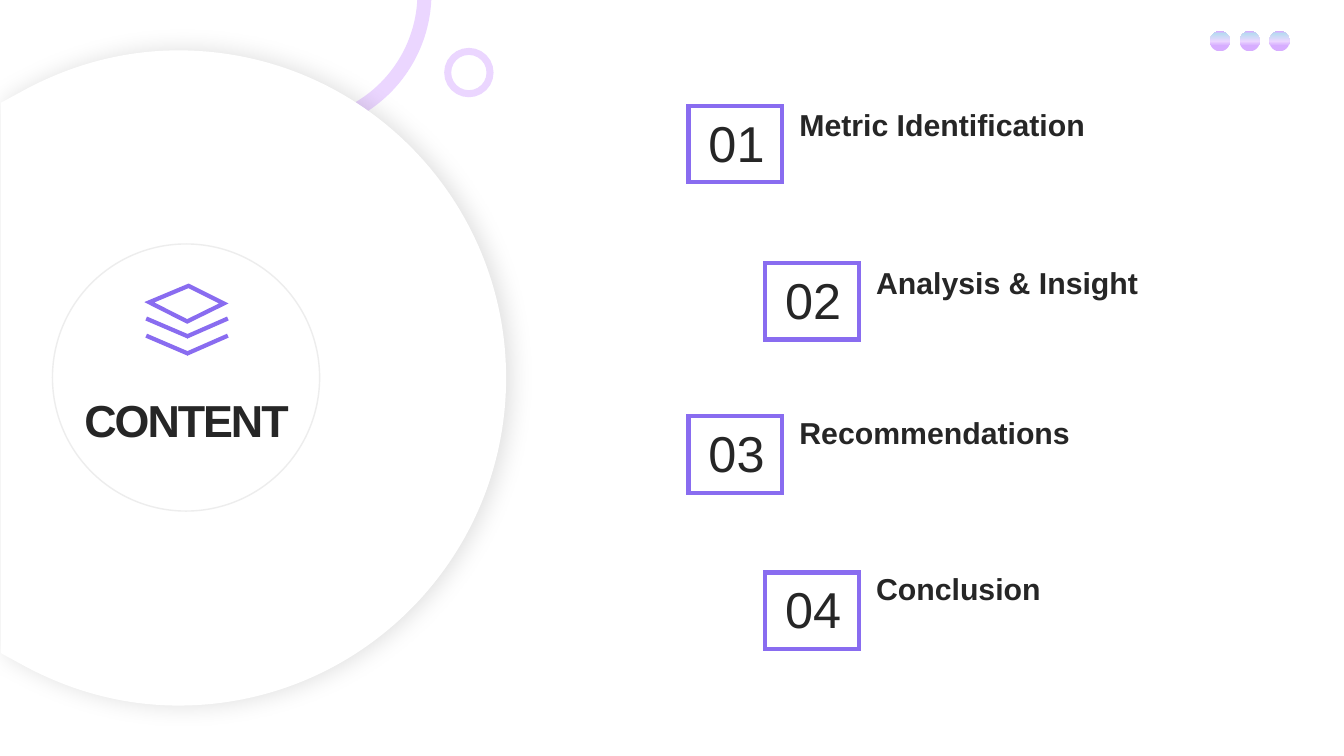
from dataclasses import dataclass

from lxml import etree
from pptx import Presentation
from pptx.dml.color import RGBColor
from pptx.enum.shapes import MSO_CONNECTOR, MSO_SHAPE
from pptx.enum.text import MSO_ANCHOR, PP_ALIGN
from pptx.oxml.ns import qn
from pptx.util import Inches, Pt

ARC, OVAL, RECTANGLE = MSO_SHAPE.ARC, MSO_SHAPE.OVAL, MSO_SHAPE.RECTANGLE
STRAIGHT = MSO_CONNECTOR.STRAIGHT
TOP, MIDDLE, BOTTOM = MSO_ANCHOR.TOP, MSO_ANCHOR.MIDDLE, MSO_ANCHOR.BOTTOM
LEFT, CENTER = PP_ALIGN.LEFT, PP_ALIGN.CENTER


@dataclass(frozen=True)
class Theme:
    font: str = "Arial"
    ink: str = "262626"
    accent: str = "896CF0"
    ring: str = "EBD6FF"
    hairline: str = "EDEDED"
    paper: str = "FFFFFF"
    shadow: str = "000000"
    dot_stops: tuple = ((28, "D7ADFF"), (50, "EBD6FF"), (88, "B9DBF1"), (100, "D7ADFF"))
    heading_size: float = 32
    number_size: float = 36
    title_size: float = 21.6


THEME = Theme()

# Left and top of the number box, top of the title, number, title
AGENDA = (
    (6.83, 1.05, 1.01, "01", "Metric Identification"),
    (7.59, 2.61, 2.58, "02", "Analysis & Insight"),
    (6.83, 4.13, 4.06, "03", "Recommendations"),
    (7.59, 5.68, 5.61, "04", "Conclusion"),
)

# Upper half of the disc: two corners of the cut, then two curves
DISC_HEIGHT = 6.5
DISC_UPPER = ((0, 0.52), (0.22, 0.4), (0.68, 0.15), (1.2, 0), (1.76, 0),
              (3.56, 0), (5.01, 1.46), (5.01, 3.25))


def rgb(color):
    return RGBColor.from_string(color)


def style(shape, fill=None, line=None, width=1):
    shape.shadow.inherit = False
    if fill:
        shape.fill.solid()
        shape.fill.fore_color.rgb = rgb(fill)
    else:
        shape.fill.background()
    if line:
        shape.line.color.rgb = rgb(line)
        shape.line.width = Pt(width)
        outline = shape._element.spPr.find(qn("a:ln"))
        etree.SubElement(outline, qn("a:miter"), lim="800000")
    else:
        shape.line.fill.background()


def add_preset(page, preset, box, **look):
    shape = page.shapes.add_shape(preset, *map(Inches, box))
    style(shape, **look)
    return shape


def add_outline(page, points, **look):
    """Closed polygon through points given in inches."""
    corners = [(Inches(x), Inches(y)) for x, y in points]
    builder = page.shapes.build_freeform(*corners[0])
    builder.add_line_segments(corners[1:], close=True)
    shape = builder.convert_to_shape()
    style(shape, **look)
    return shape


def bend_segments(shape, first):
    """Turn each three line segments from the given one on into a cubic curve."""
    outline = shape._element.spPr.find(".//" + qn("a:path"))
    segments = outline.findall(qn("a:lnTo"))[first:]
    for start in range(0, len(segments) - 2, 3):
        curve = etree.Element(qn("a:cubicBezTo"))
        segments[start].addprevious(curve)
        for segment in segments[start:start + 3]:
            curve.append(segment[0])
            outline.remove(segment)


def add_line(page, start, end, color, width):
    line = page.shapes.add_connector(STRAIGHT, *map(Inches, (*start, *end)))
    line.line.color.rgb = rgb(color)
    line.line.width = Pt(width)
    etree.SubElement(line._element.spPr, qn("a:effectLst"))


def add_text(page, box, text, size, bold=False, align=LEFT, anchor=TOP):
    frame = page.shapes.add_textbox(*map(Inches, box)).text_frame
    frame.word_wrap = True
    frame.vertical_anchor = anchor
    para = frame.paragraphs[0]
    para.alignment = align
    span = para.add_run()
    span.text = text
    span.font.name = THEME.font
    span.font.size = Pt(size)
    span.font.bold = bold
    span.font.color.rgb = rgb(THEME.ink)
    return frame


def add_color(parent, color):
    return etree.SubElement(parent, qn("a:srgbClr"), val=color)


def add_soft_shadow(shape, blur, distance, opacity):
    effects = shape._element.spPr.find(qn("a:effectLst"))
    shadow = etree.SubElement(
        effects, qn("a:outerShdw"), blurRad=str(Pt(blur)), dist=str(Pt(distance)),
        dir="0", algn="ctr", rotWithShape="0")
    color = add_color(shadow, THEME.shadow)
    etree.SubElement(color, qn("a:alpha"), val=str(opacity * 1000))


def fill_gradient(shape, stops):
    """Gradient running from the bottom to the top."""
    shape.fill.gradient()
    shape.fill.gradient_angle = 90
    stop_list = shape._element.spPr.find(".//" + qn("a:gsLst"))
    for old_stop in list(stop_list):
        stop_list.remove(old_stop)
    for position, color in stops:
        add_color(etree.SubElement(stop_list, qn("a:gs"), pos=str(position * 1000)), color)


def add_rings(page):
    add_preset(page, OVAL, (4.44, 0.51, 0.42, 0.42), line=THEME.ring, width=5)
    arc = add_preset(page, ARC, (1.56, -1.39, 2.65, 2.65), line=THEME.ring, width=10)
    arc.adjustments[0] = 163.22
    arc.adjustments[1] = 201.1
    arc.rotation = 90


def add_dots(page, left, top, size=0.2, reach=0.59, count=3):
    for index in range(count):
        dot = add_preset(page, OVAL, (left + index * reach / (count - 1), top, size, size))
        fill_gradient(dot, THEME.dot_stops)


def add_disc(page, left, top):
    """White disc with its left side cut off."""
    lower = [(x, DISC_HEIGHT - y) for x, y in reversed(DISC_UPPER[:-1])]
    rim = [lower[-1], *DISC_UPPER, *lower[:-1]]
    disc = add_outline(page, [(left + x, top + y) for x, y in rim], fill=THEME.paper)
    bend_segments(disc, first=2)
    add_soft_shadow(disc, blur=17, distance=3, opacity=12)


def add_layers_icon(page, left, top):
    icon = page.shapes.add_group_shape()
    corners = ((0.08, 0.35), (0.33, 0.01), (0.72, -0.02), (0.5, 0.32))
    diamond = add_outline(icon, [(left + x, top + y) for x, y in corners],
                          line=THEME.accent, width=3)
    diamond.rotation = 30.9
    for drop in (0.32, 0.49):
        edge, tip = top + drop, top + drop + 0.18
        add_line(icon, (left, edge), (left + 0.42, tip), THEME.accent, 3)
        add_line(icon, (left + 0.4, tip), (left + 0.81, edge), THEME.accent, 3)


def add_badge(page, left, top, size):
    add_preset(page, OVAL, (left, top, size, size), fill=THEME.paper, line=THEME.hairline)
    add_layers_icon(page, left + 0.93, top + 0.42)
    frame = add_text(page, (left + 0.22, top + 1.42, 2.22, 0.64), "CONTENT",
                     THEME.heading_size, bold=True, align=CENTER, anchor=MIDDLE)
    frame.margin_left = frame.margin_right = 0
    frame.paragraphs[0].runs[0].font._element.set("spc", "-150")


def add_agenda_item(page, left, top, title_top, number, title):
    add_preset(page, RECTANGLE, (left, top, 0.93, 0.76), line=THEME.accent, width=3)
    add_text(page, (left + 0.01, top + 0.01, 0.93, 0.71), number,
             THEME.number_size, align=CENTER)
    frame = add_text(page, (left + 1, title_top, 3.41, 0.46), title,
                     THEME.title_size, bold=True, anchor=BOTTOM)
    frame.paragraphs[0].line_spacing = 0.9


def build_contents_page(page):
    add_rings(page)
    add_dots(page, 12, 0.31)
    add_disc(page, 0.01, 0.5)
    add_badge(page, 0.52, 2.42, 2.65)
    for item in AGENDA:
        add_agenda_item(page, *item)


def main():
    deck = Presentation()
    deck.slide_width, deck.slide_height = Inches(13.33), Inches(7.5)
    build_contents_page(deck.slides.add_slide(deck.slide_layouts[6]))
    deck.save("out.pptx")


if __name__ == "__main__":
    main()
